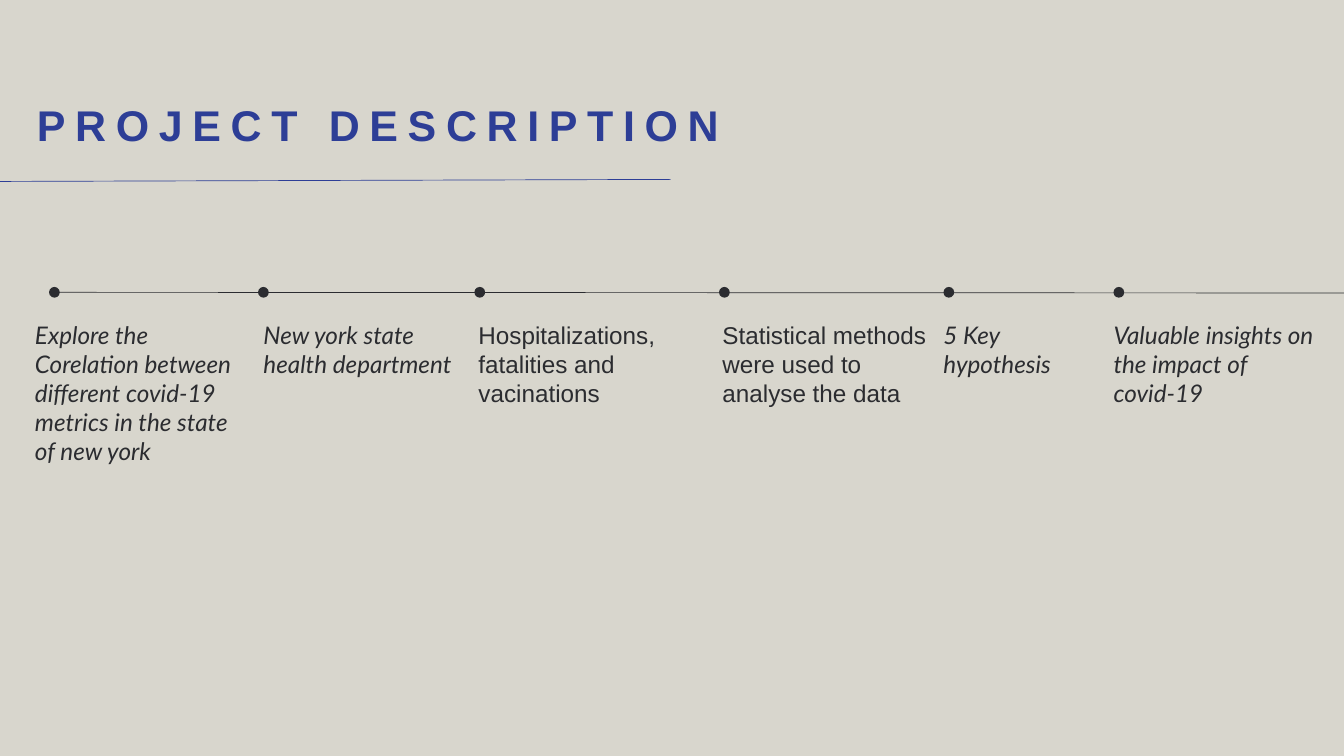
"""Build the project description slide with its six-step timeline."""
import pptx
import pptx.dml.color
import pptx.enum.shapes
import pptx.enum.text
import pptx.oxml.ns
import pptx.util
from lxml import etree

SCALE = 9144
BLUE, INK, BACKGROUND = "2D3E96", "2B2C30", "D8D6CD"
TITLE = "PROJECT DESCRIPTION"
TITLE_BOX = (55, 134, 1775, 85)
LINES = [
    (BLUE, (0, 270, 998, 267)),
    (INK, (74, 435, 2000, 436)),
]
STEPS = [
    ("Explore the Corelation between different covid-19 metrics in the state of new york",
     "Lato", 73, 52, 305, 5),
    ("New york state health department", "Lato", 384, 392, 305, 2),
    ("Hospitalizations, fatalities and vacinations", "Arial", 706, 712, 329, 3),
    ("Statistical methods were used to analyse the data", "Arial", 1070, 1075, 305, 3),
    ("5 Key hypothesis", "Lato", 1404, 1404, 219, 2),
    ("Valuable insights on the impact of covid-19", "Lato", 1657, 1657, 305, 3),
]
DOT_TOP, DOT_SIZE = 427, 16
TEXT_TOP, LINE_HEIGHT = 476, 43


def px(*values):
    return [pptx.util.Emu(value * SCALE) for value in values]


def color(value):
    return pptx.dml.color.RGBColor.from_string(value)


def write(shape, text, font_name, size, line_points, text_color, bold=False, italic=False):
    frame = shape.text_frame
    frame.text = text
    frame.word_wrap = True
    frame.auto_size = pptx.enum.text.MSO_AUTO_SIZE.NONE
    frame.vertical_anchor = pptx.enum.text.MSO_ANCHOR.TOP
    frame.margin_left = frame.margin_right = frame.margin_top = frame.margin_bottom = 0
    paragraph = frame.paragraphs[0]
    paragraph.alignment = pptx.enum.text.PP_ALIGN.LEFT
    paragraph.line_spacing = pptx.util.Pt(line_points)
    run = paragraph.runs[0]
    run.font.name = font_name
    run.font.size = pptx.util.Pt(size)
    run.font.bold = bold
    run.font.italic = italic
    run.font.color.rgb = color(text_color)
    return run


def add_title(slide):
    title = slide.shapes.title
    title.left, title.top, title.width, title.height = px(*TITLE_BOX)
    run = write(title, TITLE, "Arial", 46, 64.4, BLUE, bold=True)
    run.font._element.set("spc", "1040")


def add_line(slide, line_color, ends):
    line = slide.shapes.add_connector(pptx.enum.shapes.MSO_CONNECTOR.STRAIGHT, *px(*ends))
    line.line.color.rgb = color(line_color)
    line.line.width = pptx.util.Pt(0.75)
    etree.SubElement(line._element.spPr, pptx.oxml.ns.qn("a:effectLst"))


def add_step(slide, text, font_name, dot_left, text_left, width, line_count):
    dot = slide.shapes.add_shape(pptx.enum.shapes.MSO_SHAPE.OVAL,
                                 *px(dot_left, DOT_TOP, DOT_SIZE, DOT_SIZE))
    dot.shadow.inherit = False
    dot.fill.solid()
    dot.fill.fore_color.rgb = color(INK)
    dot.line.fill.background()
    box = slide.shapes.add_textbox(*px(text_left, TEXT_TOP, width, line_count * LINE_HEIGHT))
    write(box, text, font_name, 26, 31.2, INK, italic=font_name == "Lato")


def main():
    presentation = pptx.Presentation()
    presentation.slide_width, presentation.slide_height = px(2000, 1125)
    slide = presentation.slides.add_slide(presentation.slide_layouts.get_by_name("Title Only"))
    slide.background.fill.solid()
    slide.background.fill.fore_color.rgb = color(BACKGROUND)
    add_title(slide)
    for line_color, ends in LINES:
        add_line(slide, line_color, ends)
    for step in STEPS:
        add_step(slide, *step)
    presentation.save("out.pptx")


if __name__ == "__main__":
    main()
